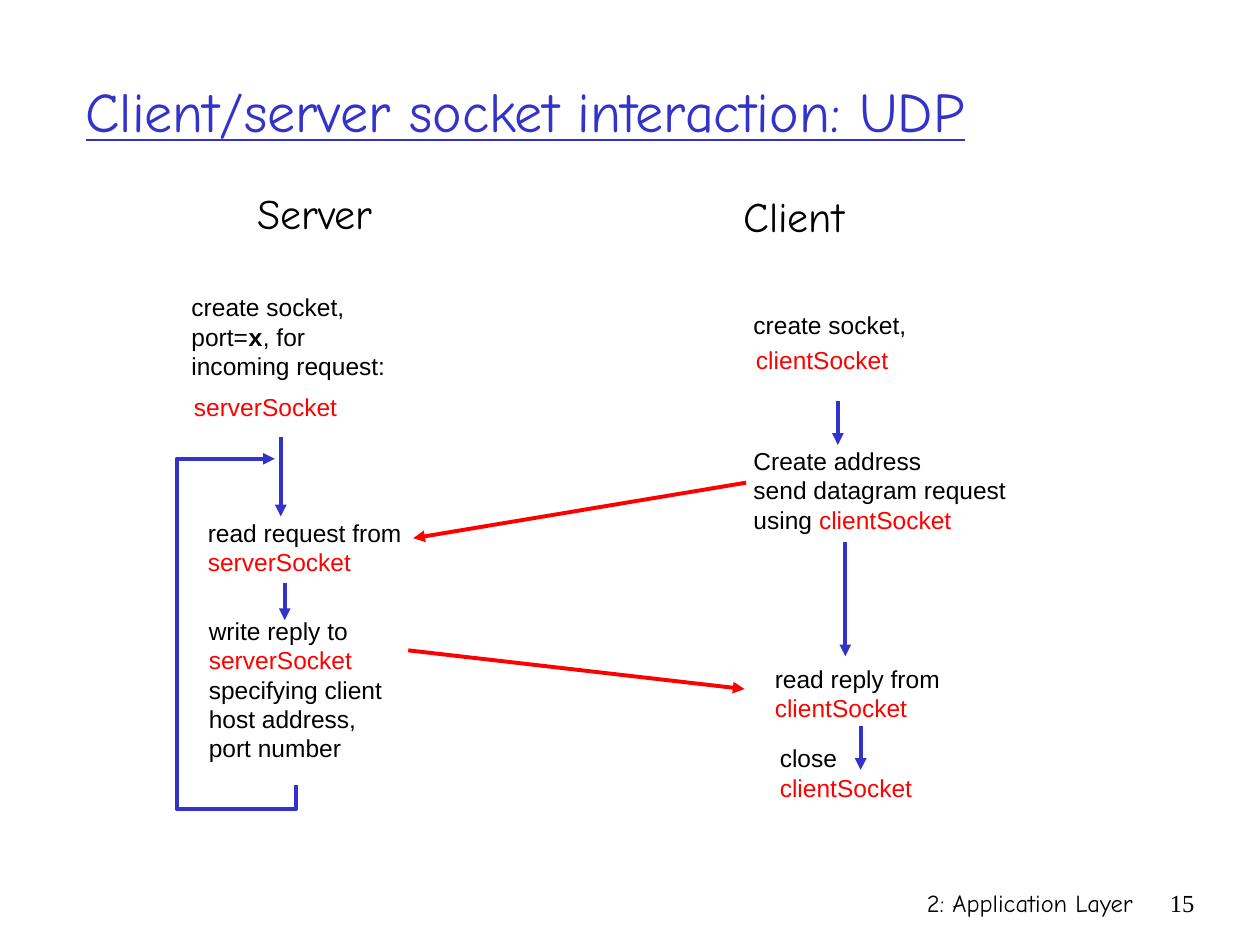
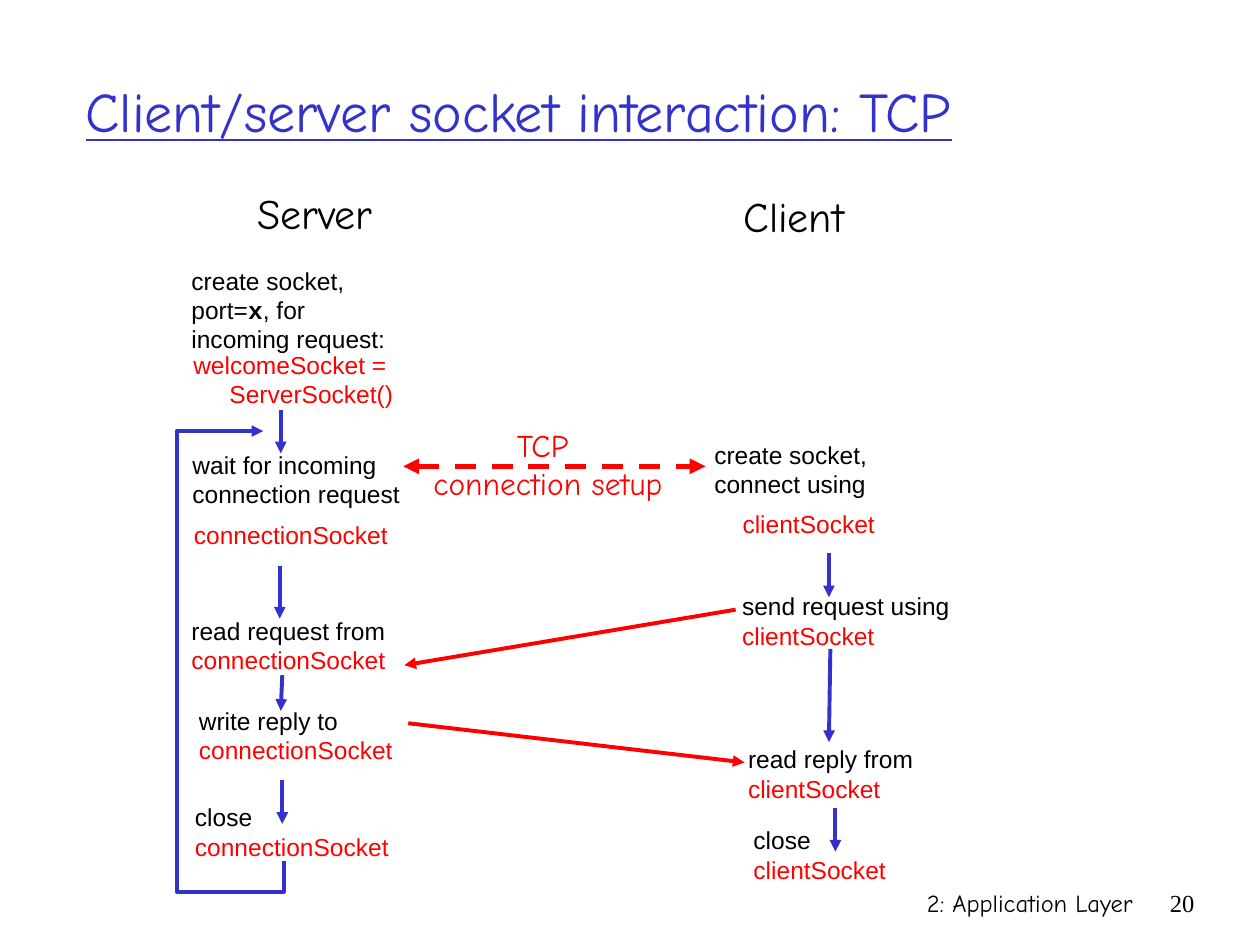
from lxml.etree import SubElement
from pptx import Presentation
from pptx.dml.color import RGBColor
from pptx.enum.dml import MSO_LINE_DASH_STYLE as Dash
from pptx.enum.shapes import MSO_CONNECTOR as Connector
from pptx.enum.text import MSO_ANCHOR as Anchor, MSO_AUTO_SIZE as AutoSize, PP_ALIGN as Align
from pptx.oxml.ns import qn
from pptx.util import Cm, Pt

BLUE, RED, BLACK = "3333CC", "FF0000", "000000"
HAND = "Comic Neue"

TITLE = {"name": HAND, "size": Pt(32), "underline": True, "colour": BLUE}
HEADING = {"name": HAND, "size": Pt(24), "colour": BLACK}
SETUP = {"name": HAND, "size": Pt(18), "colour": RED}
FOOTER = {"name": HAND, "size": Pt(14), "colour": BLACK}
NUMBER = {**FOOTER, "name": "Times New Roman"}
STEP = {"name": "Arial", "size": Pt(14), "colour": BLACK}
SOCKET = {**STEP, "colour": RED}
PORT = {**STEP, "name": "Courier New", "bold": True}

FITTED = {"word_wrap": False, "vertical_anchor": Anchor.MIDDLE,
          "auto_size": AutoSize.SHAPE_TO_FIT_TEXT}
FIXED = {"word_wrap": True, "vertical_anchor": Anchor.TOP, "auto_size": AutoSize.NONE}

CLIENT_SOCKET = [("clientSocket", SOCKET)]
SERVER_SOCKET = [("serverSocket", SOCKET)]
CONNECTION_SOCKET = [("connectionSocket", SOCKET)]
CREATE_SERVER = ["create socket,",
                 [("port=", STEP), ("x", PORT), (", for", STEP)],
                 "incoming request:"]


def paint(color, value):
    color.rgb = RGBColor.from_string(value)


def apply(target, values):
    for name, value in values.items():
        setattr(target, name, value)


def write(box, lines, style, align, frame_format):
    frame = box.text_frame
    apply(frame, frame_format)
    for index, line in enumerate(lines):
        para = frame.add_paragraph() if index else frame.paragraphs[0]
        para.alignment = align
        for text, look in [(line, style)] if isinstance(line, str) else line:
            span = para.add_run()
            span.text = text
            apply(span.font, {key: look[key] for key in look if key != "colour"})
            paint(span.font.color, look["colour"])


def add_text(page, place, lines, style, align=Align.CENTER, frame_format=FITTED):
    box = page.shapes.add_textbox(*map(Cm, place))
    write(box, lines, style, align, frame_format)


def add_step(page, left, top, width, lines, align=Align.LEFT):
    height = 0.26 + 0.59 * len(lines)
    add_text(page, (left, top, width, height), lines, STEP, align)


def finish_line(shape, colour, width=2.25, dash=None, ends=("tailEnd",)):
    shape.line.width = Pt(width)
    paint(shape.line.color, colour)
    if dash:
        shape.line.dash_style = dash
    properties = shape._element.spPr
    for end in ends:
        SubElement(properties.find(qn("a:ln")), qn(f"a:{end}"), type="triangle")
    return properties


def add_arrow(page, start, end, colour, **line_format):
    arrow = page.shapes.add_connector(Connector.STRAIGHT, *map(Cm, start + end))
    SubElement(finish_line(arrow, colour, **line_format), qn("a:effectLst"))


def add_loop(page, start, bottom, left, top, right):
    x, y = start
    corners = [(x, bottom), (left, bottom), (left, top), (right, top)]
    builder = page.shapes.build_freeform(Cm(x), Cm(y))
    builder.add_line_segments([(Cm(a), Cm(b)) for a, b in corners], close=False)
    loop = builder.convert_to_shape()
    loop.fill.background()
    loop.shadow.inherit = False
    finish_line(loop, BLUE)


def add_page(deck, protocol, number):
    page = deck.slides.add_slide(deck.slide_layouts[5])
    title = page.shapes.title
    place = {"left": 1.47, "top": 0.64, "width": 21.59, "height": 3.18}
    apply(title, {side: Cm(value) for side, value in place.items()})
    write(title, [f"Client/server socket interaction: {protocol}"], TITLE, Align.LEFT,
          {**FIXED, "vertical_anchor": Anchor.MIDDLE})
    add_text(page, (15.04, 17.78, 8.05, 1.27), ["2: Application Layer"], FOOTER,
             Align.RIGHT, FIXED)
    add_text(page, (23.06, 17.78, 1.27, 1.27), [number], NUMBER, Align.RIGHT, FIXED)
    add_text(page, (4.93, 3.66, 2.84, 1.27), ["Server"], HEADING)
    add_text(page, (14.73, 3.71, 2.54, 1.27), ["Client"], HEADING)
    return page


def fill_page(page, steps, flow, messages):
    for step in steps:
        add_step(page, *step)
    for colour, arrows in ((BLUE, flow), (RED, messages)):
        for start, end in arrows:
            add_arrow(page, start, end, colour)


def build_udp(deck):
    page = add_page(deck, "UDP", "15")
    add_loop(page, (5.97, 15.82), bottom=16.31, left=3.56, top=9.25, right=5.54)
    steps = [
        (3.61, 5.77, 4.45, CREATE_SERVER),
        (3.66, 7.77, 3.45, [SERVER_SOCKET]),
        (3.94, 10.31, 4.45, ["read request from", SERVER_SOCKET]),
        (3.96, 12.29, 4.1, ["write reply to", SERVER_SOCKET, "specifying client",
                            "host address,", "port number"]),
        (14.94, 6.12, 3.7, ["create socket,"]),
        (14.99, 6.83, 3.2, [CLIENT_SOCKET]),
        (14.94, 8.86, 5.8, ["Create address", "send datagram request",
                            [("using ", STEP), *CLIENT_SOCKET]]),
        (15.37, 13.26, 3.9, ["read reply from", CLIENT_SOCKET]),
        (15.47, 14.86, 3.2, ["close", CLIENT_SOCKET]),
    ]
    flow = [
        ((5.66, 8.81), (5.66, 10.41)),
        ((5.74, 11.76), (5.74, 12.5)),
        ((16.89, 8.08), (16.89, 8.97)),
        ((17.04, 10.92), (17.04, 13.23)),
        ((17.35, 14.63), (17.35, 15.52)),
    ]
    messages = [
        ((15.04, 9.73), (8.33, 10.85)),
        ((8.23, 13.11), (15.01, 13.89)),
    ]
    fill_page(page, steps, flow, messages)


def build_tcp(deck):
    page = add_page(deck, "TCP", "20")
    add_loop(page, (5.72, 17.35), bottom=17.98, left=3.56, top=8.69, right=5.31)
    steps = [
        (3.61, 5.23, 4.45, CREATE_SERVER),
        (3.63, 6.93, 4.55, [[("welcomeSocket = ", SOCKET)], [("ServerSocket()", SOCKET)]],
         Align.RIGHT),
        (3.63, 8.94, 4.75, ["wait for incoming", "connection request"]),
        (3.66, 10.36, 4.45, [CONNECTION_SOCKET]),
        (3.61, 12.29, 4.45, ["read request from", CONNECTION_SOCKET]),
        (3.76, 14.1, 4.45, ["write reply to", CONNECTION_SOCKET]),
        (3.68, 16.05, 4.45, ["close", CONNECTION_SOCKET]),
        (14.15, 8.74, 3.7, ["create socket,", "connect using"]),
        (14.71, 10.13, 3.18, [CLIENT_SOCKET], Align.RIGHT),
        (14.71, 11.79, 4.75, ["send request using", CLIENT_SOCKET]),
        (14.83, 14.88, 3.9, ["read reply from", CLIENT_SOCKET]),
        (14.94, 16.51, 3.2, ["close", CLIENT_SOCKET]),
    ]
    flow = [
        ((5.66, 8.26), (5.66, 9.14)),
        ((5.64, 11.4), (5.64, 12.47)),
        ((5.69, 13.61), (5.66, 14.33)),
        ((5.69, 15.72), (5.69, 16.61)),
        ((16.71, 11.15), (16.71, 12.04)),
        ((16.74, 13.08), (16.71, 14.96)),
        ((16.84, 16.28), (16.84, 17.17)),
    ]
    messages = [
        ((14.83, 12.29), (8.15, 13.41)),
        ((8.23, 14.58), (15.01, 15.37)),
    ]
    fill_page(page, steps, flow, messages)
    add_arrow(page, (8.13, 9.4), (14.22, 9.4), RED, width=3, dash=Dash.DASH,
              ends=("headEnd", "tailEnd"))
    add_text(page, (8.48, 8.46, 5.13, 1.78), ["TCP ", "connection setup"], SETUP)


def main():
    deck = Presentation()
    apply(deck, {"slide_width": Cm(25.4), "slide_height": Cm(19.05)})
    build_udp(deck)
    build_tcp(deck)
    deck.save("out.pptx")


if __name__ == "__main__":
    main()
